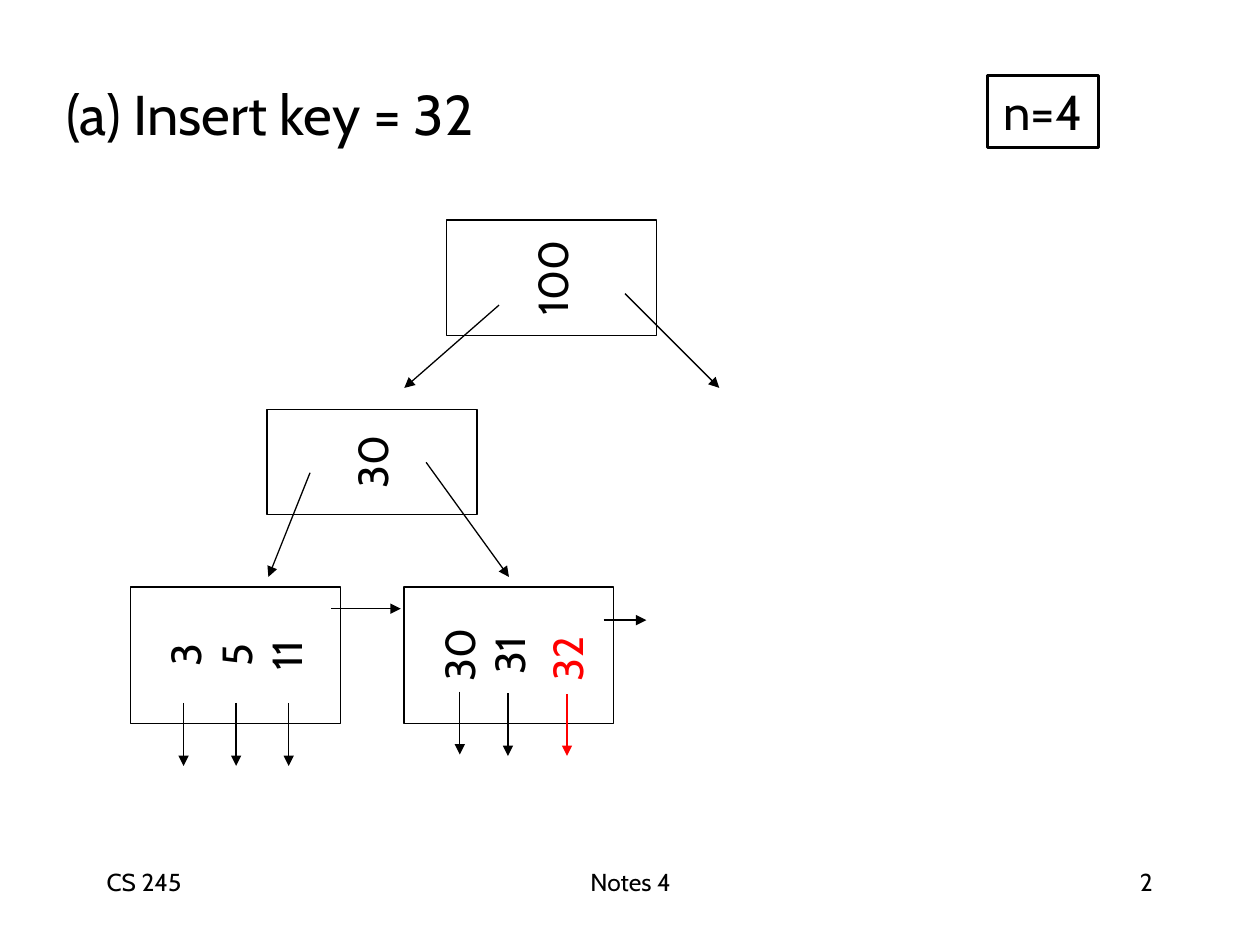
from lxml import etree
from pptx import Presentation
from pptx.dml.color import RGBColor
from pptx.enum.shapes import MSO_CONNECTOR, MSO_SHAPE
from pptx.enum.text import MSO_ANCHOR, MSO_AUTO_SIZE, PP_ALIGN
from pptx.oxml.ns import qn
from pptx.util import Cm, Pt

LEFT, CENTER, RIGHT = PP_ALIGN.LEFT, PP_ALIGN.CENTER, PP_ALIGN.RIGHT
TOP, MIDDLE = MSO_ANCHOR.TOP, MSO_ANCHOR.MIDDLE
NO_AUTOFIT = MSO_AUTO_SIZE.NONE
RECTANGLE, STRAIGHT = MSO_SHAPE.RECTANGLE, MSO_CONNECTOR.STRAIGHT

COLORS = {"ink": "000000", "paper": "FFFFFF", "inserted": "FF0000"}
TITLE_ONLY = 5
NODE_WIDTH = 4.23
LEAF_HEIGHT = 2.75
LEAF_Y = 13.21
KEY_PITCH = 1.02


class TreeSlide:
    font = "Cabin"
    key_size = 24

    def __init__(self, slide):
        self.slide = slide

    def color(self, name):
        return RGBColor.from_string(COLORS[name])

    def set_text(self, frame, lines, size, color="ink", align=CENTER, anchor=MIDDLE, wrap=False):
        frame.word_wrap = wrap
        frame.auto_size = NO_AUTOFIT
        frame.vertical_anchor = anchor
        for index, line in enumerate(lines):
            paragraph = frame.add_paragraph() if index else frame.paragraphs[0]
            paragraph.alignment = align
            run = paragraph.add_run()
            run.text = line
            run.font.name = self.font
            run.font.size = Pt(size)
            run.font.color.rgb = self.color(color)

    def title(self, text, left, top, width, height):
        heading = self.slide.shapes.title
        heading.left, heading.top = Cm(left), Cm(top)
        heading.width, heading.height = Cm(width), Cm(height)
        self.set_text(heading.text_frame, [text], 32, align=LEFT, anchor=TOP, wrap=True)
        heading.text_frame.paragraphs[0].space_before = Pt(8)

    def label(self, text, left, top, width, height, align):
        caption = self.slide.shapes.add_textbox(Cm(left), Cm(top), Cm(width), Cm(height))
        self.set_text(caption.text_frame, [text], 14, align=align, anchor=TOP, wrap=True)

    def box(self, left, top, width, height, line_width):
        outline = self.slide.shapes.add_shape(
            RECTANGLE, Cm(left), Cm(top), Cm(width), Cm(height))
        outline.shadow.inherit = False
        outline.line.color.rgb = self.color("ink")
        outline.line.width = Pt(line_width)
        return outline

    def badge(self, text, left, top, width, height):
        frame = self.box(left, top, width, height, 1.5)
        frame.fill.background()
        self.set_text(frame.text_frame, [text], 28)

    def node(self, keys, center_x, center_y, height, free_slots=0):
        node = self.box(center_x - height / 2, center_y - NODE_WIDTH / 2,
                        height, NODE_WIDTH, 0.75)
        node.rotation = 270
        node.fill.solid()
        node.fill.fore_color.rgb = self.color("paper")
        self.set_text(node.text_frame, keys, self.key_size)
        node.text_frame.margin_bottom = Cm(0.13 + free_slots * KEY_PITCH)

    def inserted_key(self, key, center_x, center_y, width, height):
        entry = self.slide.shapes.add_textbox(
            Cm(center_x - width / 2), Cm(center_y - height / 2), Cm(width), Cm(height))
        entry.rotation = 270
        self.set_text(entry.text_frame, [key], self.key_size, color="inserted")

    def arrow(self, x1, y1, x2, y2, color="ink"):
        pointer = self.slide.shapes.add_connector(STRAIGHT, Cm(x1), Cm(y1), Cm(x2), Cm(y2))
        pointer.line.color.rgb = self.color(color)
        pointer.line.width = Pt(0.75)
        properties = pointer._element.spPr
        etree.SubElement(properties.get_or_add_ln(), qn("a:tailEnd"), type="triangle")
        etree.SubElement(properties, qn("a:effectLst"))


def main():
    deck = Presentation()
    deck.slide_width, deck.slide_height = Cm(25.4), Cm(19.05)
    tree = TreeSlide(deck.slides.add_slide(deck.slide_layouts[TITLE_ONLY]))

    tree.title("(a) Insert key = 32", 1.09, 1.47, 21.59, 1.65)
    tree.badge("n=4", 19.91, 1.52, 2.24, 1.45)
    for text, left, width, align in (
        ("CS 245", 1.9, 5.28, LEFT),
        ("Notes 4", 8.69, 8.05, CENTER),
        ("2", 18.21, 5.28, RIGHT),
    ):
        tree.label(text, left, 17.35, width, 1.27, align)

    tree.node(["100"], 11.12, 5.6, 2.33)
    tree.node(["30"], 7.5, 9.31, 2.12)
    tree.node(["3", "5", "11"], 4.75, LEAF_Y, LEAF_HEIGHT)
    tree.node(["30", "31"], 10.26, LEAF_Y, LEAF_HEIGHT, free_slots=1)
    tree.inserted_key("32", 11.43, 13.28, 1.47, 1.27)

    child_pointers = (
        (10.06, 6.15, 8.15, 7.82),
        (12.6, 5.92, 14.5, 7.82),
        (6.25, 9.53, 5.41, 11.63),
        (8.59, 9.32, 10.26, 11.63),
    )
    sibling_pointers = ((6.68, 12.27, 8.08, 12.27), (12.17, 12.5, 13.03, 12.5))
    for pointer in child_pointers + sibling_pointers:
        tree.arrow(*pointer)

    for slot in range(3):
        record_x = 3.7 + slot * 1.06
        tree.arrow(record_x, 14.17, record_x, 15.44)
    for record_x, start_y, end_y, color in (
        (9.27, 13.94, 15.21, "ink"),
        (10.24, 13.97, 15.24, "ink"),
        (11.43, 14, 15.24, "inserted"),
    ):
        tree.arrow(record_x, start_y, record_x, end_y, color)

    deck.save("out.pptx")


if __name__ == "__main__":
    main()
